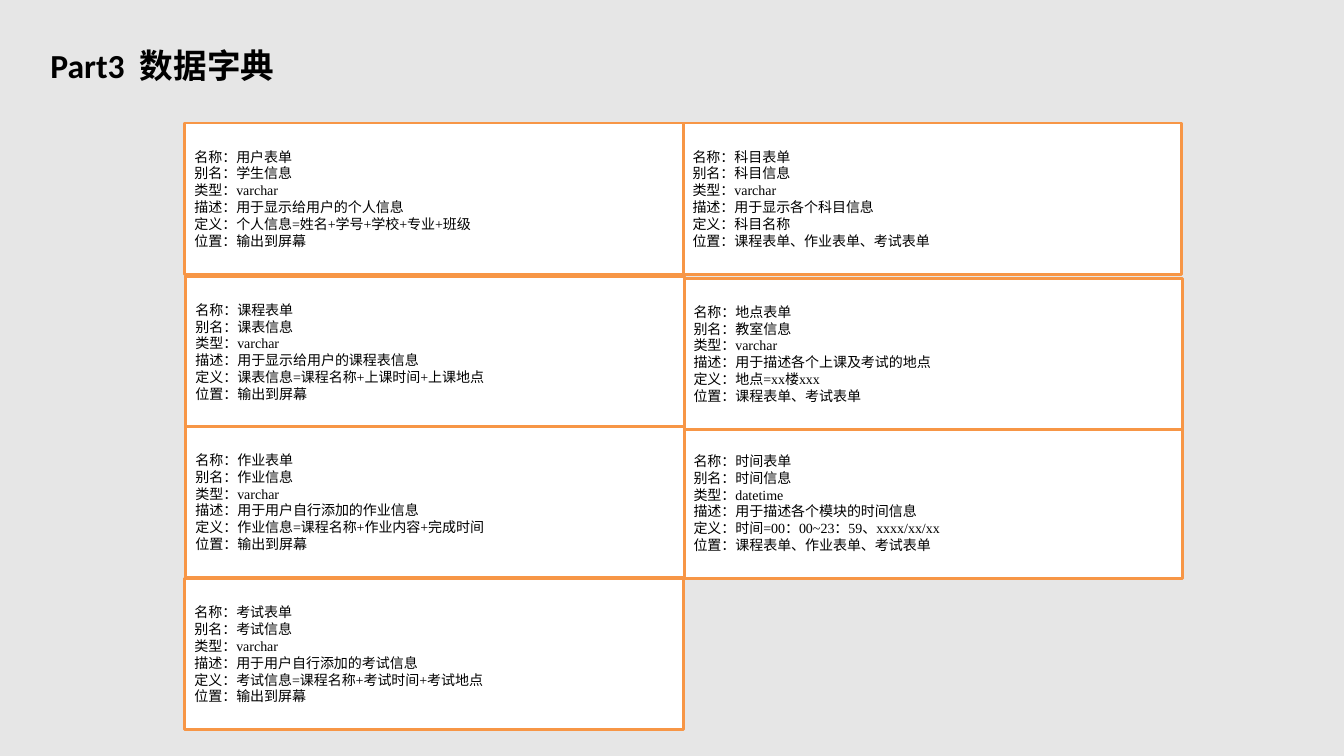
from pptx import Presentation
from pptx import util as u
from pptx.dml.color import RGBColor
from pptx.enum import shapes, text


def rgb(value):
    return RGBColor.from_string(value)


def write(p, content, size, font, bold):
    p.alignment = text.PP_ALIGN.LEFT
    r = p.add_run()
    r.text = content
    formats = {"size": u.Pt(size), "name": font, "bold": bold}
    for name, value in formats.items():
        setattr(r.font, name, value)
    r.font.color.rgb = rgb("000000")


prs = Presentation()
prs.slide_width = u.Inches(13.33)
prs.slide_height = u.Inches(7.5)
s = prs.slides.add_slide(prs.slide_layouts[6])
s.background.fill.solid()
s.background.fill.fore_color.rgb = rgb("E6E6E6")

title = s.shapes.add_textbox(u.Inches(0.4), u.Inches(0.4), u.Inches(3.79), u.Inches(0.51))
title.text_frame.word_wrap = True
title.text_frame.auto_size = text.MSO_AUTO_SIZE.SHAPE_TO_FIT_TEXT
write(title.text_frame.paragraphs[0], "Part3  数据字典", 24, "Calibri", True)

labels = ["名称", "别名", "类型", "描述", "定义", "位置"]
screen = "输出到屏幕"
all_forms = "课程表单、作业表单、考试表单"
entries = [
    (6.78, 4.24, ["时间表单", "时间信息", "datetime", "用于描述各个模块的时间信息",
                  "时间=00：00~23：59、xxxx/xx/xx", all_forms]),
    (6.78, 2.76, ["地点表单", "教室信息", "varchar", "用于描述各个上课及考试的地点",
                  "地点=xx楼xxx", "课程表单、考试表单"]),
    (6.77, 1.22, ["科目表单", "科目信息", "varchar", "用于显示各个科目信息",
                  "科目名称", all_forms]),
    (1.84, 2.74, ["课程表单", "课表信息", "varchar", "用于显示给用户的课程表信息",
                  "课表信息=课程名称+上课时间+上课地点", screen]),
    (1.84, 4.23, ["作业表单", "作业信息", "varchar", "用于用户自行添加的作业信息",
                  "作业信息=课程名称+作业内容+完成时间", screen]),
    (1.83, 5.74, ["考试表单", "考试信息", "varchar", "用于用户自行添加的考试信息",
                  "考试信息=课程名称+考试时间+考试地点", screen]),
    (1.83, 1.22, ["用户表单", "学生信息", "varchar", "用于显示给用户的个人信息",
                  "个人信息=姓名+学号+学校+专业+班级", screen]),
]

for left, top, values in entries:
    sp = s.shapes.add_shape(shapes.MSO_SHAPE.RECTANGLE, u.Inches(left), u.Inches(top),
                            u.Inches(4.95), u.Inches(1.5))
    sp.shadow.inherit = False
    sp.fill.solid()
    sp.fill.fore_color.rgb = rgb("FFFFFF")
    sp.line.color.rgb = rgb("F79646")
    sp.line.width = u.Pt(2)
    tf = sp.text_frame
    tf.word_wrap = True
    tf.vertical_anchor = text.MSO_ANCHOR.MIDDLE
    for i, (label, value) in enumerate(zip(labels, values)):
        p = tf.add_paragraph() if i else tf.paragraphs[0]
        write(p, f"{label}：{value}", 10, "Times New Roman", False)

prs.save("out.pptx")
